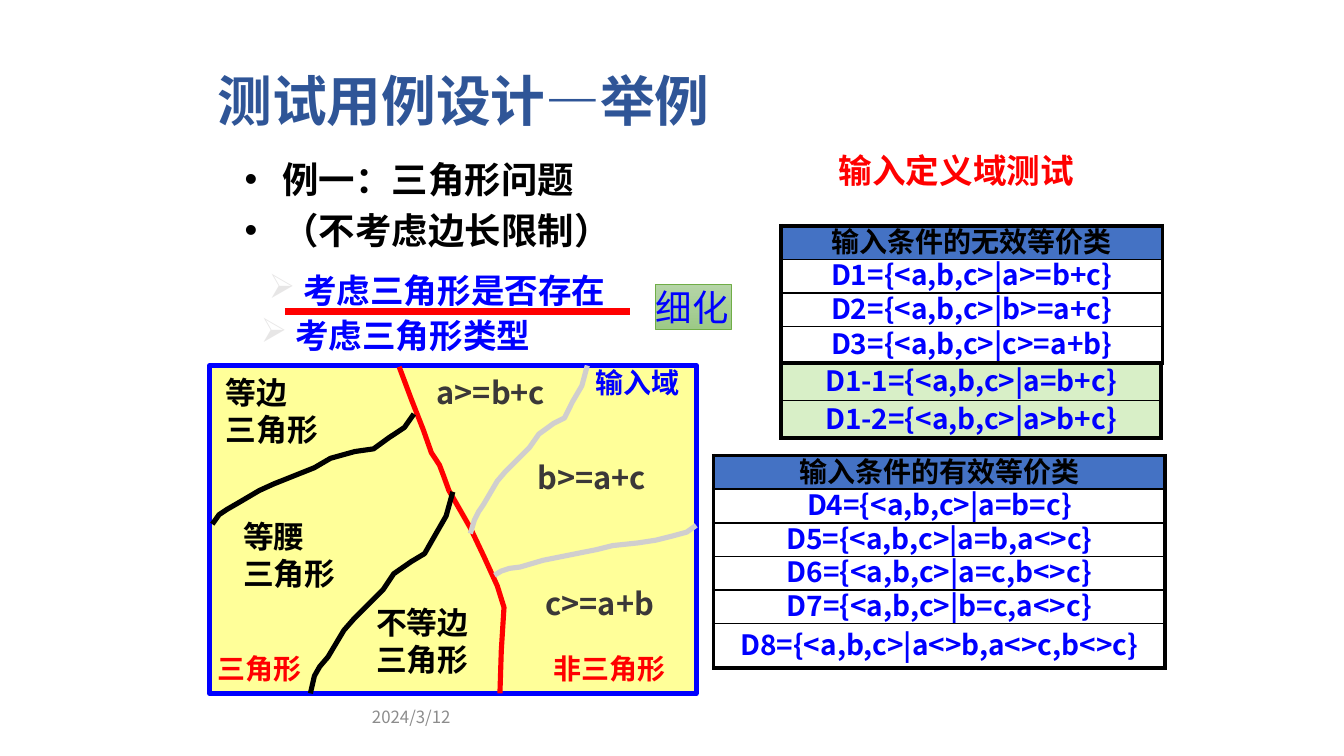
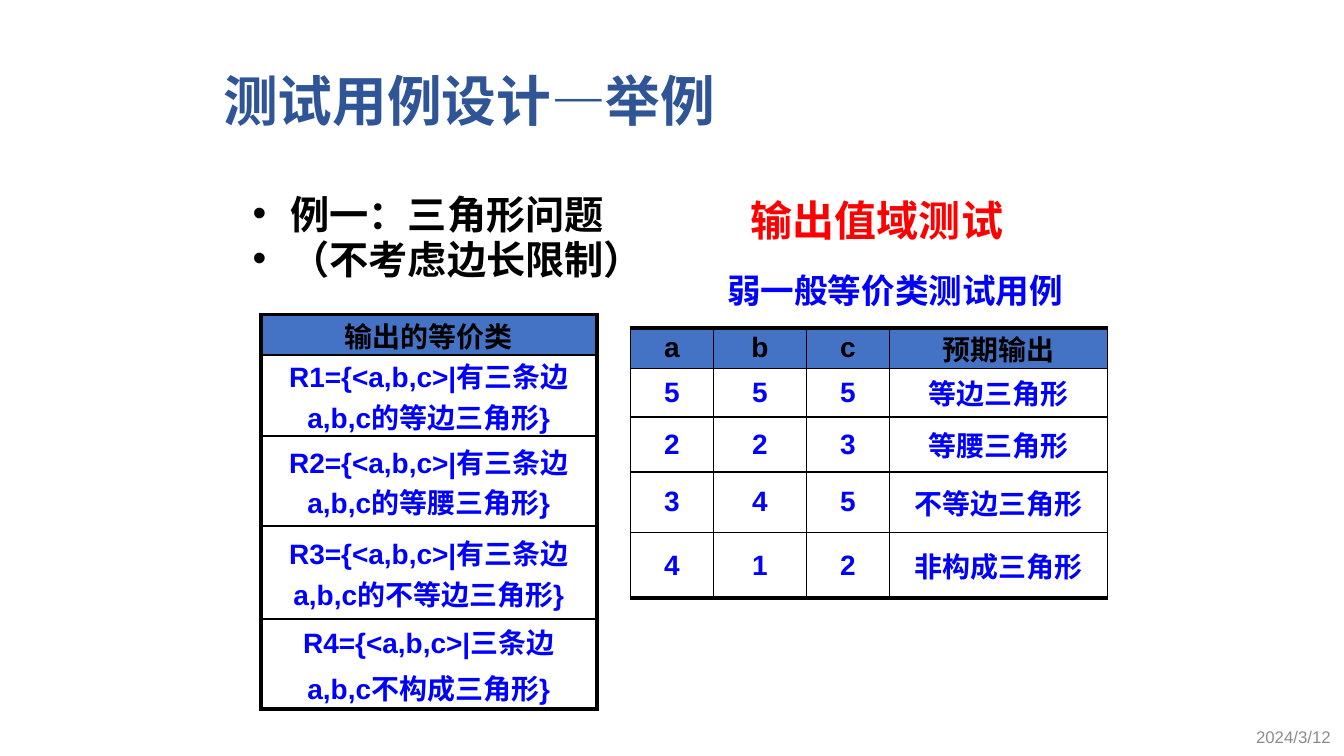
from lxml import etree
from pptx import Presentation
from pptx.dml.color import RGBColor
from pptx.enum.shapes import MSO_CONNECTOR, MSO_SHAPE
from pptx.enum.text import MSO_ANCHOR, MSO_AUTO_SIZE, PP_ALIGN
from pptx.oxml.ns import qn
from pptx.util import Inches, Pt

COLORS = {
    "title": "2F5597", "black": "000000", "red": "FF0000", "blue": "0000FF",
    "header": "4472C4", "refined": "D8EFC7", "domain": "FFFF99",
    "condition": "3B3838", "divider": "D0CECE", "arrow": "E7E6E6",
    "green_top": "B5D5A7", "green_bottom": "9CC987", "green_line": "70AD47",
    "date": "8C8C8C",
}
RGB = {name: RGBColor.from_string(value) for name, value in COLORS.items()}
NOTO, ARIAL = "Noto Sans CJK SC", "Arial"
LEFT, CENTER, RIGHT = PP_ALIGN.LEFT, PP_ALIGN.CENTER, PP_ALIGN.RIGHT
TITLE = "测试用例设计—举例"
TOPIC = "例一：三角形问题\n（不考虑边长限制）"
DATE = "2024/3/12"


def write_text(frame, text, size, color, font, align=LEFT, bold=True,
               spacing=None, gap=0, inset=None, fit=False):
    """Fill a frame, one paragraph a line; inset is its (side, top) margin."""
    frame.text = text
    if inset is not None:
        frame.margin_left = frame.margin_right = Inches(inset[0])
        frame.margin_top = frame.margin_bottom = Inches(inset[1])
        frame.word_wrap = not fit
        frame.auto_size = MSO_AUTO_SIZE.SHAPE_TO_FIT_TEXT if fit else MSO_AUTO_SIZE.NONE
    for number, para in enumerate(frame.paragraphs):
        para.alignment = align
        para.space_before = Pt(gap if number else 0)
        if spacing:
            para.line_spacing = spacing
        para.font.name = font
        para.font.size = Pt(size)
        para.font.bold = bold
        para.font.color.rgb = RGB[color]
        defaults = para._p.pPr.find(qn("a:defRPr"))
        etree.SubElement(defaults, qn("a:ea"), typeface=NOTO)


def add_grid(slide, place, widths, heights, rows, font, side=2.25, header=True, fill=None,
             spacing=None):
    """Add a table with thick top and bottom edges and thin inner rules."""
    frame = slide.shapes.add_table(len(heights), len(widths), *map(Inches, place))
    table = frame.table
    table.first_row = table.horz_banding = False
    for column, width in zip(table.columns, widths):
        column.width = Inches(width)
    last = len(rows) - 1
    for r, (texts, height) in enumerate(zip(rows, heights)):
        table.rows[r].height = Inches(height)
        is_header = header and r == 0
        for c, text in enumerate(texts):
            cell = table.cell(r, c)
            cell.margin_left = cell.margin_right = cell.margin_top = cell.margin_bottom = 0
            cell.vertical_anchor = MSO_ANCHOR.MIDDLE
            edges = {"lnL": side, "lnR": side, "lnT": 1 if r else 2.25,
                     "lnB": 2.25 if r == last else 1}
            for edge, points in edges.items():
                line = etree.SubElement(cell._tc.get_or_add_tcPr(), qn(f"a:{edge}"),
                                        w=str(Pt(points)))
                solid = etree.SubElement(line, qn("a:solidFill"))
                etree.SubElement(solid, qn("a:srgbClr"), val=COLORS["black"])
            cell_fill = "header" if is_header else fill
            if cell_fill:
                cell.fill.solid()
                cell.fill.fore_color.rgb = RGB[cell_fill]
            else:
                cell.fill.background()
            write_text(cell.text_frame, text, 15, "black" if is_header else "blue", font,
                       CENTER, gap=3, spacing=spacing)


deck = Presentation()
deck.slide_width = Inches(10)
deck.slide_height = deck.slide_width * 9 // 16

# Shared parts: title, topic list, red heading and date
pages = []
for font, title_place, topic_place, topic_size, topic_spacing, heading, date_place in [
    (NOTO, (1.55, 0.33, 6.17, 0.83), (1.75, 1.13, 6.38, 0.88), 19.5, None,
     ("输入定义域测试", 18, (5.71, 1.1, 2.81, 0.44)), (1.79, 5.24, 1.66, 0.19)),
    (ARIAL, (1.59, 0.33, 6.13, 0.83), (1.81, 1.44, 6.38, 3.38), 21, 0.8,
     ("输出值域测试", 22.5, (5.12, 1.44, 2.81, 0.44)), (0, 5.37, 10, 0.22)),
]:
    page = deck.slides.add_slide(deck.slide_layouts[1])
    pages.append(page)
    title, topic = page.placeholders
    for holder, place in [(title, title_place), (topic, topic_place)]:
        holder.left, holder.top, holder.width, holder.height = map(Inches, place)
    title.text_frame.vertical_anchor = MSO_ANCHOR.MIDDLE
    write_text(title.text_frame, TITLE, 29.25, "title", font, PP_ALIGN.JUSTIFY,
               inset=(0.07, 0.04))
    write_text(topic.text_frame, TOPIC, topic_size, "black", font,
               spacing=topic_spacing, gap=topic_size * 0.2, inset=(0.07, 0.04))
    for para in topic.text_frame.paragraphs:
        para._p.pPr.set("marL", str(Inches(0.28)))
        para._p.pPr.set("indent", str(Inches(-0.28)))
    text, size, place = heading
    box = page.shapes.add_textbox(*map(Inches, place))
    write_text(box.text_frame, text, size, "red", font, CENTER, spacing=0.9, inset=(0.1, 0.05))
    box = page.shapes.add_textbox(*map(Inches, date_place))
    box.text_frame.vertical_anchor = MSO_ANCHOR.MIDDLE
    write_text(box.text_frame, DATE, 9, "date", font, RIGHT, bold=False, inset=(0.1, 0.05))

input_page, output_page = pages

# Slide 1: steps, refinement tag and underline
for text, place in [(" 考虑三角形类型", (1.94, 2.34, 2.31, 0.3)),
                    (" 考虑三角形是否存在", (2, 2.01, 2.62, 0.3))]:
    box = input_page.shapes.add_textbox(*map(Inches, place))
    write_text(box.text_frame, text, 18, "blue", NOTO, inset=(0, 0), fit=True)
    defaults = box.text_frame.paragraphs[0]._p.pPr.find(qn("a:defRPr"))
    bullet_color = etree.Element(qn("a:buClr"))
    etree.SubElement(bullet_color, qn("a:srgbClr"), val=COLORS["arrow"])
    defaults.addprevious(bullet_color)
    defaults.addprevious(etree.Element(qn("a:buChar"), char="➢"))

tag = input_page.shapes.add_shape(MSO_SHAPE.RECTANGLE, *map(Inches, (4.88, 2.12, 0.56, 0.33)))
tag.shadow.inherit = False
tag.fill.gradient()
tag.fill.gradient_angle = 270
for stop, color in zip(tag.fill.gradient_stops, ("green_top", "green_bottom")):
    stop.color.rgb = RGB[color]
tag.line.color.rgb = RGB["green_line"]
tag.line.width = Pt(0.5)
write_text(tag.text_frame, "细化", 19.5, "blue", NOTO, bold=False, inset=(0, 0))

underline = input_page.shapes.add_connector(
    MSO_CONNECTOR.STRAIGHT, *map(Inches, (2.12, 2.32, 4.69, 2.32)))
underline.line.color.rgb = RGB["red"]
underline.line.width = Pt(3.75)
etree.SubElement(underline._element.spPr, qn("a:effectLst"))

# Slide 1: equivalence classes of the input
add_grid(input_page, (5.81, 1.68, 2.84, 1.02), [2.84], [0.25] * 3 + [0.27],
         [["输入条件的无效等价类"], ["D1={<a,b,c>|a>=b+c}"], ["D2={<a,b,c>|b>=a+c}"],
          ["D3={<a,b,c>|c>=a+b}"]], NOTO, spacing=0.8)
add_grid(input_page, (5.31, 3.39, 3.36, 1.58), [3.36], [0.25] * 5 + [0.33],
         [["输入条件的有效等价类"], ["D4={<a,b,c>|a=b=c}"], ["D5={<a,b,c>|a=b,a<>c}"],
          ["D6={<a,b,c>|a=c,b<>c}"], ["D7={<a,b,c>|b=c,a<>c}"],
          ["D8={<a,b,c>|a<>b,a<>c,b<>c}"]], NOTO, spacing=0.8)
add_grid(input_page, (5.81, 2.7, 2.83, 0.56), [2.83], [0.28] * 2,
         [["D1-1={<a,b,c>|a=b+c}"], ["D1-2={<a,b,c>|a>b+c}"]], NOTO,
         header=False, fill="refined", spacing=0.8)

# Slide 1: input domain map
domain = input_page.shapes.add_group_shape().shapes
area = domain.add_shape(MSO_SHAPE.RECTANGLE, *map(Inches, (1.56, 2.72, 3.62, 2.44)))
area.shadow.inherit = False
area.fill.solid()
area.fill.fore_color.rgb = RGB["domain"]
area.line.color.rgb = RGB["blue"]
area.line.width = Pt(2.75)

# Border points are in hundredths of an inch
borders = [
    ("red", [(297, 273), (306, 297), (315, 320), (321, 337), (327, 346), (330, 354),
             (334, 365), (350, 393), (360, 414), (370, 436), (375, 452), (373, 484),
             (372, 516)]),
    ("black", [(308, 308), (301, 318), (289, 326), (278, 334), (264, 336), (246, 341),
               (234, 348), (204, 360), (193, 365), (176, 375), (169, 379), (163, 383),
               (158, 390)]),
    ("black", [(337, 366), (332, 384), (324, 398), (316, 412), (306, 418), (293, 427),
               (285, 439), (263, 461), (256, 469), (244, 489), (238, 496), (234, 503),
               (231, 516)]),
    ("divider", [(437, 272), (433, 287), (426, 299), (420, 311), (412, 315), (401, 323),
                 (394, 333), (376, 351), (370, 358), (360, 375), (356, 381), (353, 387),
                 (350, 397)]),
    ("divider", [(518, 391), (511, 396), (500, 399), (488, 402), (475, 404), (456, 406),
                 (444, 409), (414, 415), (404, 417), (387, 422), (379, 423), (373, 425),
                 (368, 428)]),
]
for color, points in borders:
    builder = domain.build_freeform(*points[0], scale=Inches(0.01))
    builder.add_line_segments(points[1:], close=False)
    border = builder.convert_to_shape()
    border.shadow.inherit = False
    border.fill.background()
    border.line.color.rgb = RGB[color]
    border.line.width = Pt(2.75)

for text, size, color, place in [
    ("三角形", 15, "red", (1.62, 4.85, 0.69, 0.25)),
    ("输入域", 15, "blue", (4.43, 2.72, 0.69, 0.25)),
    ("非三角形", 15, "red", (4.12, 4.85, 1, 0.25)),
    ("等边\n三角形", 16.5, "black", (1.68, 2.78, 0.75, 0.56)),
    ("等腰\n三角形", 16.5, "black", (1.81, 3.85, 0.82, 0.56)),
    ("不等边\n三角形", 16.5, "black", (2.8, 4.49, 0.84, 0.56)),
    ("a>=b+c", 16.5, "condition", (3.25, 2.78, 0.94, 0.28)),
    ("b>=a+c", 16.5, "condition", (4, 3.41, 0.94, 0.28)),
    ("c>=a+b", 16.5, "condition", (4.06, 4.35, 0.94, 0.28)),
]:
    box = domain.add_textbox(*map(Inches, place))
    write_text(box.text_frame, text, size, color, NOTO, inset=(0, 0), fit=True)

# Slide 2: equivalence classes of the output and test cases
add_grid(output_page, (1.94, 2.34, 2.5, 2.83), [2.5], [0.25, 0.55, 0.67, 0.69, 0.67],
         [["输出的等价类"], ["R1={<a,b,c>|有三条边a,b,c的等边三角形}"],
          ["R2={<a,b,c>|有三条边a,b,c的等腰三角形}"],
          ["R3={<a,b,c>|有三条边a,b,c的不等边三角形}"],
          ["R4={<a,b,c>|三条边\na,b,c不构成三角形}"]], ARIAL)
add_grid(output_page, (4.69, 2.44, 3.56, 1.95), [0.62, 0.69, 0.62, 1.62],
         [0.25, 0.36, 0.41, 0.45, 0.49],
         [["a", "b", "c", "预期输出"], ["5", "5", "5", "等边三角形"],
          ["2", "2", "3", "等腰三角形"], ["3", "4", "5", "不等边三角形"],
          ["4", "1", "2", "非构成三角形"]], ARIAL, side=1)
box = output_page.shapes.add_textbox(*map(Inches, (5.41, 2.01, 2.52, 0.3)))
write_text(box.text_frame, "弱一般等价类测试用例", 18, "blue", ARIAL, inset=(0, 0), fit=True)

deck.save("out.pptx")
